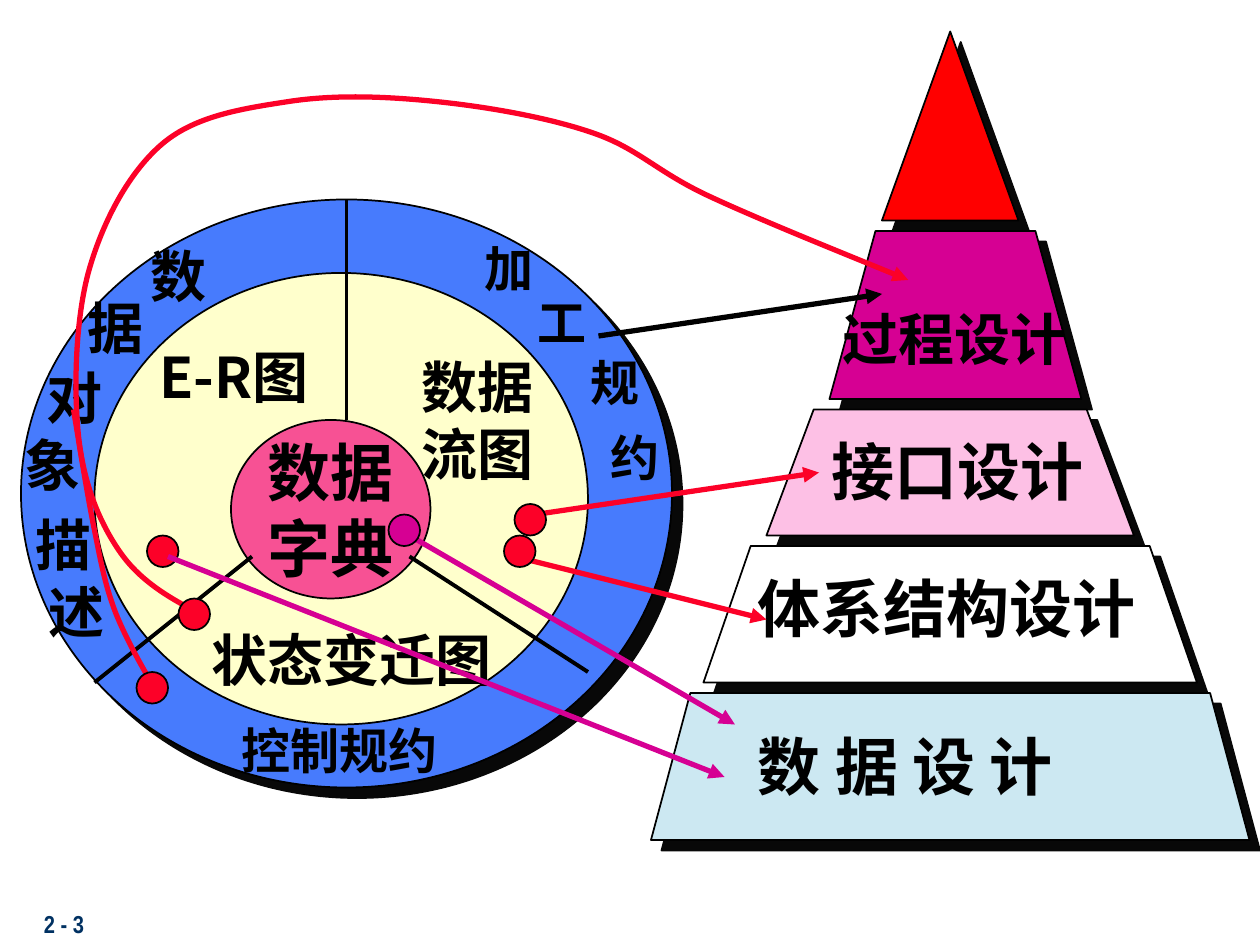
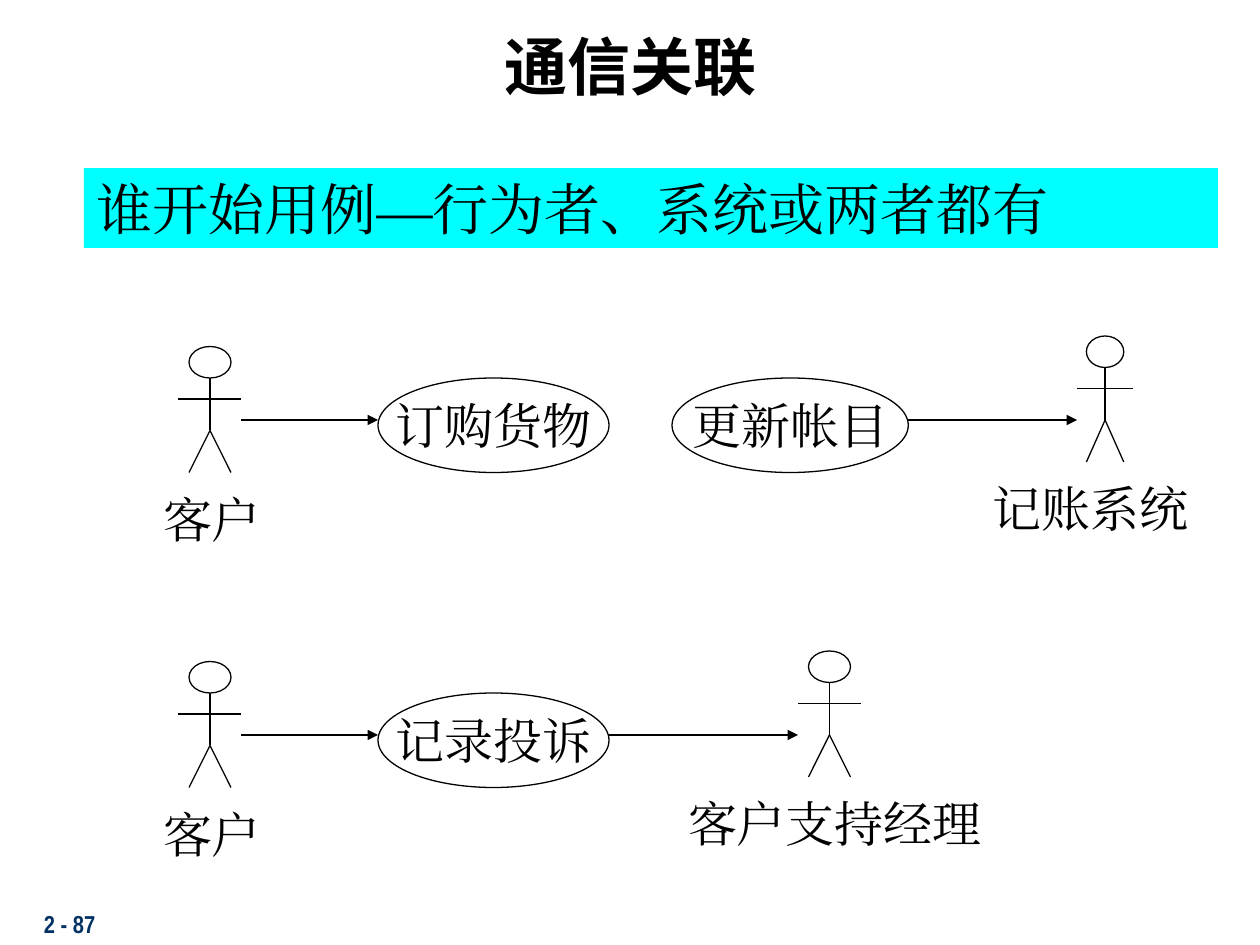
from pptx import Presentation
from pptx.dml.color import RGBColor
from pptx.enum.shapes import MSO_CONNECTOR, MSO_SHAPE
from pptx.enum.text import MSO_ANCHOR, PP_ALIGN
from pptx.oxml.ns import qn
from pptx.util import Pt
from lxml.etree import SubElement

BLACK = "000000"
WHITE = "FFFFFF"
RED = "FC0128"
MAGENTA = "D60093"
SHADOW = "080808"
NAVY = "003162"
HEADING_FONT = "Noto Sans CJK SC"
BODY_FONT = "Times New Roman"
FOOTER_FONT = "Arial Narrow"


def rgb(hex_string):
    return RGBColor.from_string(hex_string)


def write_text(shape, text, size, font_name, bold=False, color=BLACK, align=PP_ALIGN.LEFT):
    shape.text_frame.text = text
    for paragraph in shape.text_frame.paragraphs:
        paragraph.alignment = align
        for run in paragraph.runs:
            run.font.size = Pt(size)
            run.font.bold = bold
            run.font.color.rgb = rgb(color)
            run.font.name = font_name
            SubElement(run.font._element, qn("a:ea"), typeface=font_name)


def add_text(slide, left, top, width, text, size, font_name=HEADING_FONT, bold=True,
             color=BLACK, align=PP_ALIGN.LEFT):
    height = size * 1.2 * len(text.split("\n")) + 7.2
    box = slide.shapes.add_textbox(Pt(left), Pt(top), Pt(width), Pt(height))
    box.text_frame.word_wrap = True
    write_text(box, text, size, font_name, bold, color, align)
    return box


def paint(shape, fill, line=BLACK, line_width=1, shadow=False):
    shape.shadow.inherit = False
    if fill:
        shape.fill.solid()
        shape.fill.fore_color.rgb = rgb(fill)
    else:
        shape.fill.background()
    if line:
        shape.line.color.rgb = rgb(line)
        shape.line.width = Pt(line_width)
    else:
        shape.line.fill.background()
    if shadow:
        effects = shape.element.spPr.find(qn("a:effectLst"))
        outer = SubElement(effects, qn("a:outerShdw"), dist=str(Pt(8.5)), dir="2700000",
                           algn="ctr", rotWithShape="0")
        SubElement(outer, qn("a:srgbClr"), val=SHADOW)


def add_preset(slide, kind, left, top, width, height, fill, **style):
    shape = slide.shapes.add_shape(kind, Pt(left), Pt(top), Pt(width), Pt(height))
    paint(shape, fill, **style)
    return shape


def add_ellipse(slide, left, top, width, height, fill=None, text="", size=28,
                font_name=BODY_FONT, bold=False, **style):
    ellipse = add_preset(slide, MSO_SHAPE.OVAL, left, top, width, height, fill, **style)
    if text:
        ellipse.text_frame.word_wrap = False
        ellipse.text_frame.vertical_anchor = MSO_ANCHOR.MIDDLE
        write_text(ellipse, text, size, font_name, bold, align=PP_ALIGN.CENTER)


def add_arrowhead(shape):
    SubElement(shape.element.spPr.find(qn("a:ln")), qn("a:tailEnd"), type="triangle")


def add_line(slide, start, end, color=BLACK, width=0.75, arrow=False):
    ends = [Pt(value) for value in (*start, *end)]
    connector = slide.shapes.add_connector(MSO_CONNECTOR.STRAIGHT, *ends)
    connector.line.color.rgb = rgb(color)
    connector.line.width = Pt(width)
    if arrow:
        add_arrowhead(connector)
    SubElement(connector.element.spPr, qn("a:effectLst"))


def add_outline(slide, points, close):
    start, *others = [(Pt(x), Pt(y)) for x, y in points]
    builder = slide.shapes.build_freeform(*start)
    builder.add_line_segments(others, close=close)
    return builder.convert_to_shape()


def add_curve(slide, points, arrow=False):
    curve = add_outline(slide, points, close=False)
    outline = curve.element.find(".//" + qn("a:path"))
    segments = outline.findall(qn("a:lnTo"))
    for index in range(0, len(segments), 3):
        bezier = SubElement(outline, qn("a:cubicBezTo"))
        for segment in segments[index:index + 3]:
            bezier.append(segment[0])
            outline.remove(segment)
    paint(curve, None, line=RED, line_width=3)
    if arrow:
        add_arrowhead(curve)


def add_layer(slide, left, right, top, bottom, inset, fill):
    corners = [(left, bottom), (left + inset, top), (right - inset, top), (right, bottom)]
    paint(add_outline(slide, corners, close=True), fill, shadow=True)


def add_dot(slide, left, top, color=RED):
    add_ellipse(slide, left, top, 18, 18, color)


def add_actor(slide, center, top, label, label_left, label_width, scale=1):
    head, arm, foot = 12 * scale, 18 * scale, 12 * scale
    hip = top + 48
    add_ellipse(slide, center - head, top, 2 * head, 18, line_width=0.75)
    add_line(slide, (center, top + 18), (center, hip))
    for side in (-foot, foot):
        add_line(slide, (center, hip), (center + side, top + 72))
    add_line(slide, (center - arm, top + 30), (center + arm, top + 30))
    box = add_text(slide, label_left, top + 78, label_width, label, 28, BODY_FONT, bold=False)
    box.text_frame.margin_left = Pt(21.2)


def add_slide(presentation, number):
    slide = presentation.slides.add_slide(presentation.slide_layouts[6])
    slide.background.fill.solid()
    slide.background.fill.fore_color.rgb = rgb(WHITE)
    add_text(slide, 18, 516, 150, f"2 - {number}", 14, FOOTER_FONT, color=NAVY)
    return slide


def build_analysis_to_design(presentation):
    slide = add_slide(presentation, 3)
    add_ellipse(slide, 12, 114, 372, 336, "477BFD", shadow=True)
    add_ellipse(slide, 54, 156, 282, 258, "FFFFCC")
    add_ellipse(slide, 132, 240, 114, 102, "F75194", "数据\n字典", 36, HEADING_FONT, True)
    for start, end in [((198, 114), (198, 240)), ((234, 318), (336, 384)),
                       ((144, 318), (54, 390))]:
        add_line(slide, start, end, width=2.25)

    for left, top, width, text in [(234, 198, 88, "数据\n流图"), (84, 192, 120, "E-R图"),
                                   (114, 354, 192, "状态变迁图")]:
        add_text(slide, left, top, width, text, 32)
    add_text(slide, 131, 408, 130, "控制规约", 28)
    ring_labels = [
        (28, [("加", 270, 133), ("工", 300, 163.5), ("规", 330.5, 198), ("约", 342, 241)]),
        (32, [("数", 79, 134.5), ("据", 43, 164), ("对", 19.5, 204),
              ("象", 7, 242.5), ("描", 13.5, 288), ("述", 20.5, 326.5)]),
    ]
    for size, characters in ring_labels:
        for character, left, top in characters:
            add_text(slide, left, top, size + 18, character, size)

    add_preset(slide, MSO_SHAPE.ISOSCELES_TRIANGLE, 504, 18, 78, 108, "FF0000", shadow=True)
    layers = [
        (474, 618, 132, 228, 26.3, MAGENTA, "过程设计", 474.5, 170.5, 32),
        (438, 648, 234, 306, 27, "FDC0E5", "接口设计", 468, 243.5, 36),
        (402, 684, 312, 390, 27, WHITE, "体系结构设计", 426, 322, 36),
        (372, 714, 396, 480, 22.5, "CCE8F2", "数 据 设 计", 426, 412, 36),
    ]
    for left, right, top, bottom, inset, fill, label, label_left, label_top, size in layers:
        add_layer(slide, left, right, top, bottom, inset, fill)
        add_text(slide, label_left, label_top, size * 6 + 18, label, size)

    for start, end, color in [((342, 192), (504, 168), BLACK), ((306, 294), (468, 270), RED),
                              ((294, 318), (438, 354), RED),
                              ((234, 306), (420, 414), MAGENTA)]:
        add_line(slide, start, end, color, 3, arrow=True)
    for left, top in [(294, 288), (288, 306), (84, 306)]:
        add_dot(slide, left, top)
    add_dot(slide, 222, 294, MAGENTA)

    add_curve(slide, [
        (117, 352), (99, 343), (81, 333), (69, 316), (57, 299), (48, 277), (45, 250),
        (42, 223), (43, 182), (51, 154), (59, 126), (74, 98), (93, 82),
        (112, 66), (139, 62), (165, 58), (191, 54), (220, 55), (249, 58),
        (278, 61), (313, 67), (339, 76), (365, 85), (375, 98), (405, 112),
        (435, 126), (500, 152), (519, 160)], arrow=True)
    add_curve(slide, [
        (90, 396), (81, 381), (72, 365), (66, 350), (60, 334), (58, 323), (54, 303),
        (50, 284), (44, 246), (42, 234)])
    for left, top in [(102, 342), (78, 384)]:
        add_dot(slide, left, top)
    add_line(slide, (96, 318), (414, 444), MAGENTA, 3, arrow=True)


def build_communication_association(presentation):
    slide = add_slide(presentation, 87)
    add_text(slide, 12, 12, 696, "通信关联", 36, align=PP_ALIGN.CENTER)
    banner = add_preset(slide, MSO_SHAPE.RECTANGLE, 48, 96, 648, 45.6, "00FFFF", line=None)
    banner.text_frame.vertical_anchor = MSO_ANCHOR.TOP
    write_text(banner, "谁开始用例—行为者、系统或两者都有", 32, BODY_FONT)

    for center, top, label, left, width, scale in [
            (120, 198, "客户", 72, 102, 1), (120, 378, "客户", 72, 102, 1),
            (474, 372, "客户支持经理", 372, 210, 1), (631.5, 192, "记账系统", 546, 150, 0.89)]:
        add_actor(slide, center, top, label, left, width, scale)
    for left, top, width, use_case in [(216, 216, 132, "订购货物"), (216, 396, 132, "记录投诉"),
                                       (384, 216, 135, "更新帐目")]:
        add_ellipse(slide, left, top, width, 54, text=use_case, line_width=0.75)
    for start, end, y in [(138, 216, 240), (519, 615.5, 240), (138, 216, 420), (348, 456, 420)]:
        add_line(slide, (start, y), (end, y), arrow=True)


def main():
    presentation = Presentation()
    presentation.slide_width = Pt(720)
    presentation.slide_height = Pt(540)
    build_analysis_to_design(presentation)
    build_communication_association(presentation)
    presentation.save("out.pptx")


if __name__ == "__main__":
    main()
